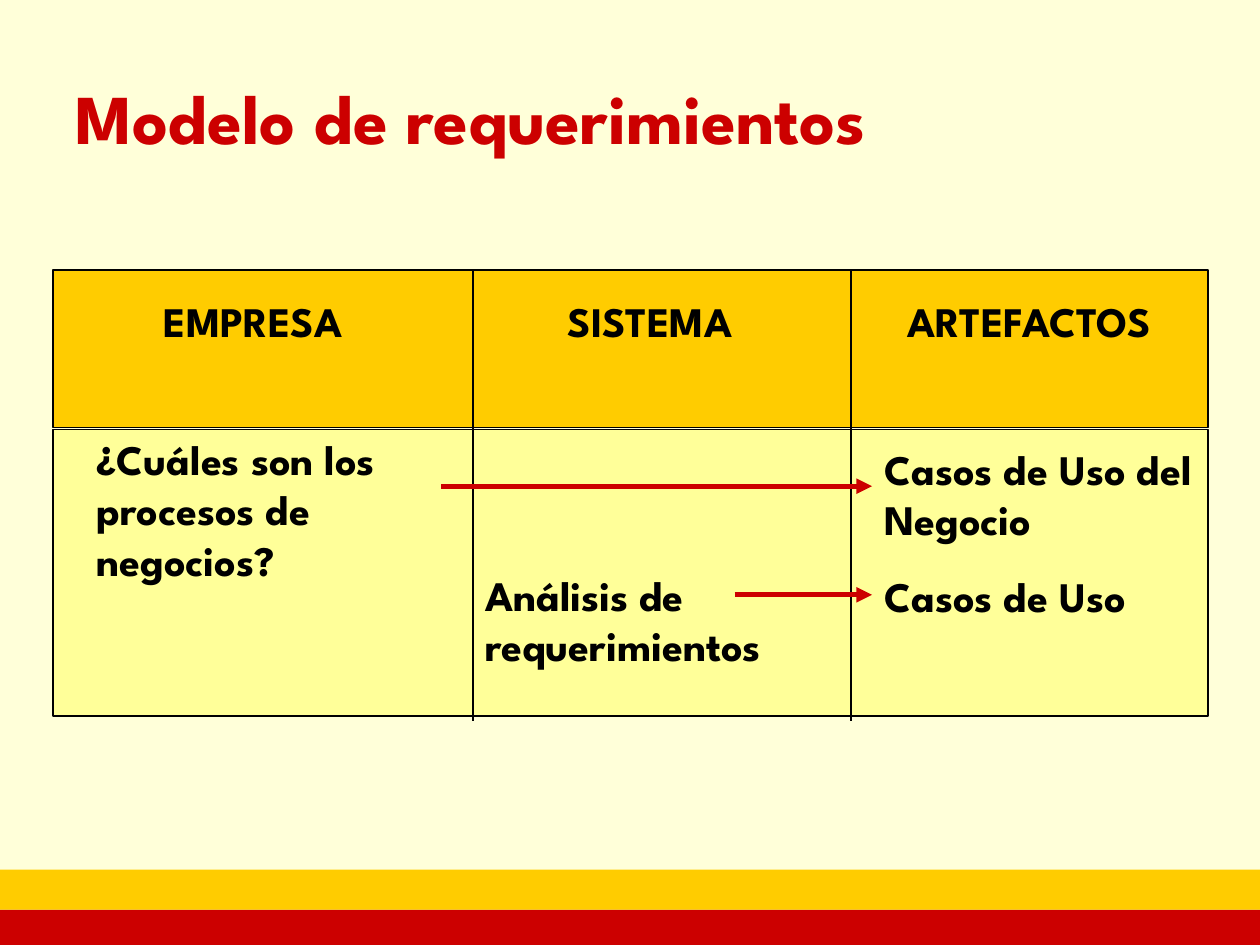
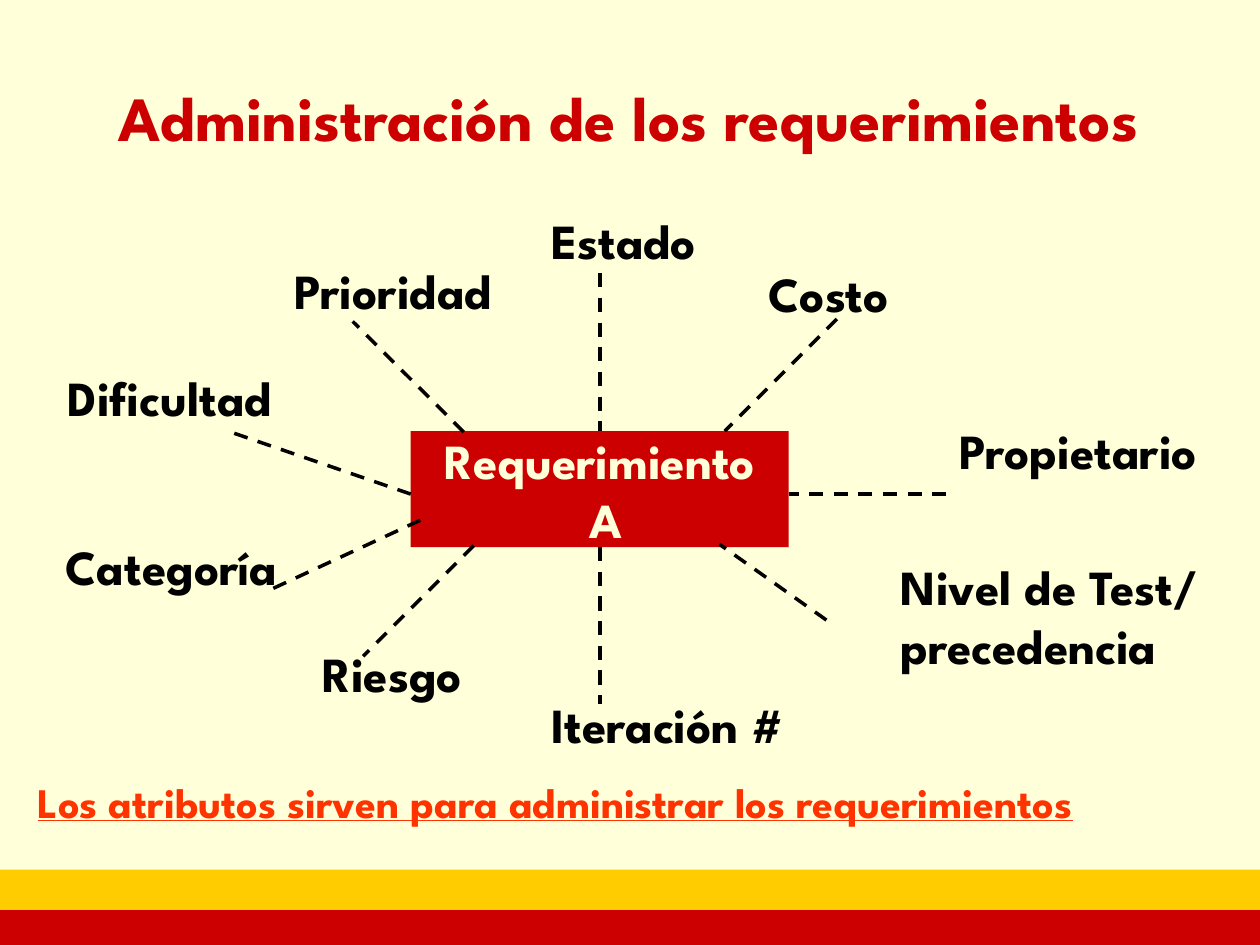
from lxml.etree import SubElement
from pptx import Presentation
from pptx.dml.color import RGBColor
from pptx.enum.dml import MSO_LINE
from pptx.enum.shapes import MSO_CONNECTOR, MSO_SHAPE
from pptx.enum.text import MSO_ANCHOR, MSO_AUTO_SIZE, PP_ALIGN
from pptx.oxml.ns import qn
from pptx.util import Cm, Pt

RED = RGBColor(0xCC, 0x00, 0x00)
ORANGE = RGBColor(0xFF, 0x33, 0x00)
GOLD = RGBColor(0xFF, 0xCC, 0x00)
YELLOW = RGBColor(0xFF, 0xFF, 0x99)
CREAM = RGBColor(0xFF, 0xFF, 0xD9)
BLACK = RGBColor(0x00, 0x00, 0x00)
FONT = "League Spartan"
SLIDE_WIDTH, SLIDE_HEIGHT = 25.4, 19.05

TABLE_LEFT, TABLE_TOP, TABLE_WIDTH = 1.07, 5.44, 23.29
BODY_TOP = 8.66
COLUMN_LINES = (9.53, 17.15)
COLUMN_LINE_END = 14.53
HEADERS = (("EMPRESA", 1.7), ("SISTEMA", 9.7), ("ARTEFACTOS", 17.35))
CELLS = (
    (("¿Cuáles son los procesos de negocios?",), 1.7, 8.61, 3.3),
    (("Análisis de requerimientos",), 9.53, 11.35, 3.3),
    (("Casos de Uso del Negocio", "Casos de Uso"), 17.58, 8.81, 3.84),
)
ARROW_END = 17.58
ARROWS = ((8.89, 9.8), (14.81, 11.99))

BOX_LEFT, BOX_TOP, BOX_WIDTH, BOX_HEIGHT = 8.28, 8.69, 7.62, 2.34
BOX_RIGHT, BOX_BOTTOM = BOX_LEFT + BOX_WIDTH, BOX_TOP + BOX_HEIGHT
BOX_CENTER = BOX_LEFT + BOX_WIDTH / 2
LABEL_LINE = 1.19
LABEL_PADDING = 0.26
ATTRIBUTES = (
    (("Iteración #",), (10.87, 13.87, 5.89), (BOX_CENTER, BOX_BOTTOM), (BOX_CENTER, 14.2)),
    (("Estado",), (10.87, 4.11, 3.81), (BOX_CENTER, 5.51), (BOX_CENTER, BOX_TOP)),
    (("Propietario",), (19.1, 8.36, 6.07), (19.08, 9.96), (BOX_RIGHT, 9.96)),
    (("Dificultad",), (1.12, 7.29, 5.31), (BOX_LEFT, 9.96), (4.65, 8.71)),
    (("Prioridad",), (5.69, 5.13, 5.08), (9.35, 8.71), (7.11, 6.48)),
    (("Costo",), (15.24, 5.18, 3.28), (16.87, 6.43), (14.61, BOX_TOP)),
    (("Riesgo",), (6.25, 12.85, 3.76), (9.55, 11), (7.32, 13.23)),
    (("Nivel de Test/", "precedencia"), (17.91, 11.1, 7.24), (16.66, 12.5), (14.5, 10.97)),
    (("Categoría",), (1.07, 10.69, 5.31), (5.51, 11.86), (8.53, 10.46)),
)


def write_lines(frame, lines, size, color, align=PP_ALIGN.LEFT, space=0, underline=False):
    for index, line in enumerate(lines):
        paragraph = frame.paragraphs[0] if index == 0 else frame.add_paragraph()
        paragraph.alignment = align
        paragraph.space_before = Pt(space)
        run = paragraph.add_run()
        run.text = line
        font = run.font
        font.name, font.size, font.bold = FONT, Pt(size), True
        font.color.rgb = color
        if underline:
            font.underline = True


def add_text(slide, lines, left, top, width, height, size=24, color=BLACK, wrap=True, **style):
    shape = slide.shapes.add_textbox(Cm(left), Cm(top), Cm(width), Cm(height))
    frame = shape.text_frame
    frame.word_wrap = wrap
    frame.auto_size = MSO_AUTO_SIZE.SHAPE_TO_FIT_TEXT
    write_lines(frame, lines, size, color, **style)
    return shape


def add_box(slide, left, top, width, height, fill, outlined=False):
    shape = slide.shapes.add_shape(
        MSO_SHAPE.RECTANGLE, Cm(left), Cm(top), Cm(width), Cm(height))
    shape.shadow.inherit = False
    shape.fill.solid()
    shape.fill.fore_color.rgb = fill
    if outlined:
        shape.line.color.rgb = BLACK
        shape.line.width = Pt(1)
    else:
        shape.line.fill.background()
    return shape


def add_line(slide, start, end, color=BLACK, width=1, dashed=False, arrow=False):
    connector = slide.shapes.add_connector(
        MSO_CONNECTOR.STRAIGHT, *(Cm(value) for value in (*start, *end)))
    line = connector.line
    line.color.rgb = color
    line.width = Pt(width)
    if dashed:
        line.dash_style = MSO_LINE.DASH
    properties = connector._element.spPr
    if arrow:
        SubElement(properties.find(qn("a:ln")), qn("a:tailEnd"), type="triangle")
    SubElement(properties, qn("a:effectLst"))


def add_titled_slide(presentation, title, left, width, size):
    slide = presentation.slides.add_slide(presentation.slide_layouts[6])
    background = slide.background.fill
    background.solid()
    background.fore_color.rgb = CREAM
    add_box(slide, 0, 18.34, SLIDE_WIDTH, 0.71, RED)
    add_box(slide, 0, 17.53, SLIDE_WIDTH, 0.81, GOLD)
    frame = add_text(slide, (title,), left, 0.76, width, 3.18, size, RED).text_frame
    frame.auto_size = MSO_AUTO_SIZE.NONE
    frame.vertical_anchor = MSO_ANCHOR.MIDDLE
    return slide


def build_requirements_model(presentation):
    slide = add_titled_slide(presentation, "Modelo de requerimientos", 1.27, 22.86, 40)
    add_box(slide, TABLE_LEFT, TABLE_TOP, TABLE_WIDTH, 3.18, GOLD, outlined=True)
    add_box(slide, TABLE_LEFT, BODY_TOP, TABLE_WIDTH, 5.77, YELLOW, outlined=True)
    for x in COLUMN_LINES:
        add_line(slide, (x, TABLE_TOP), (x, COLUMN_LINE_END))
    for header, left in HEADERS:
        add_text(slide, (header,), left, 5.84, 6.81, 1.27, align=PP_ALIGN.CENTER, space=15)
    for lines, left, top, height in CELLS:
        add_text(slide, lines, left, top, 6.99, height, space=15)
    for start, y in ARROWS:
        add_line(slide, (start, y), (ARROW_END, y), RED, 3, arrow=True)


def build_requirements_management(presentation):
    slide = add_titled_slide(
        presentation, "Administración de los requerimientos", 2.13, 22, 36)
    box = add_box(slide, BOX_LEFT, BOX_TOP, BOX_WIDTH, BOX_HEIGHT, RED)
    box.text_frame.word_wrap = False
    box.text_frame.vertical_anchor = MSO_ANCHOR.MIDDLE
    write_lines(box.text_frame, ("Requerimiento", " A"), 28, CREAM, PP_ALIGN.CENTER)
    for lines, position, start, end in ATTRIBUTES:
        add_line(slide, start, end, width=2, dashed=True)
        height = LABEL_PADDING + LABEL_LINE * len(lines)
        add_text(slide, lines, *position, height, 28, wrap=False)
    add_text(slide, ("Los atributos sirven para administrar los requerimientos",),
             0.51, 15.52, 24.33, 2.29, color=ORANGE, space=15, underline=True)


def main():
    presentation = Presentation()
    presentation.slide_width = Cm(SLIDE_WIDTH)
    presentation.slide_height = Cm(SLIDE_HEIGHT)
    build_requirements_model(presentation)
    build_requirements_management(presentation)
    presentation.save("out.pptx")


if __name__ == "__main__":
    main()
